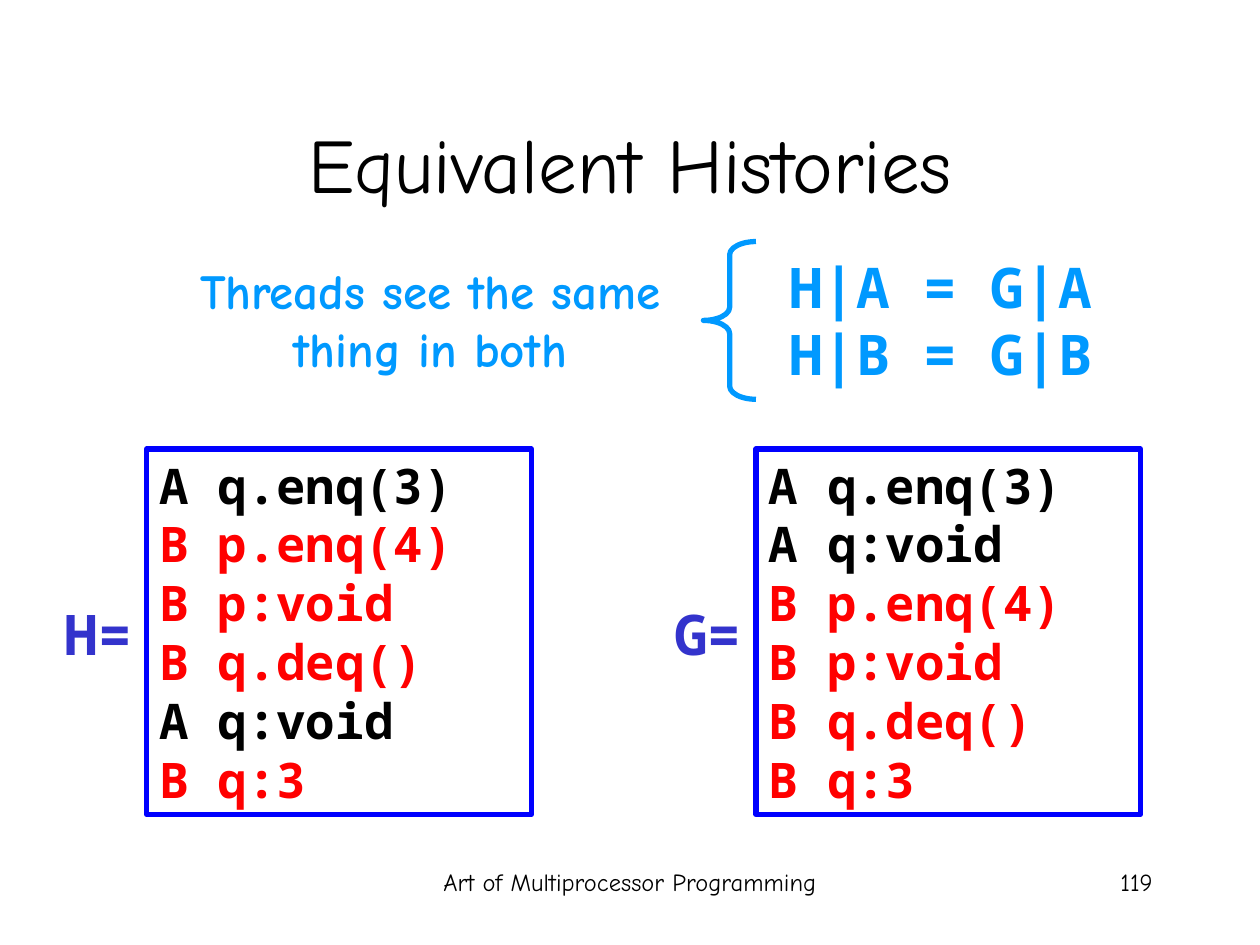
import pptx
import pptx.dml.color
import pptx.enum.shapes
import pptx.enum.text
import pptx.util

Cm = pptx.util.Cm
ALIGN = pptx.enum.text.PP_ALIGN
ANCHOR = pptx.enum.text.MSO_ANCHOR
SHAPES = pptx.enum.shapes.MSO_SHAPE


def colour(hex_code):
    return pptx.dml.color.RGBColor.from_string(hex_code)


class HistorySlide:
    """The style of the talk and the slide being filled."""

    PROSE, CODE = "Comic Neue", "Noto Sans Mono"
    BLACK, RED, SKY, INDIGO, BLUE = "000000", "FF0000", "0099FF", "3333CC", "0000FF"
    THREAD_COLOURS = {"A": BLACK, "B": RED}
    LINE_WIDTH = pptx.util.Pt(3)

    def __init__(self, deck):
        self.slide = deck.slides.add_slide(deck.slide_layouts[5])

    def fill_text(self, frame, lines, size, font, bold=False, align=ALIGN.LEFT,
                  anchor=ANCHOR.TOP, grow=False):
        """Fill a text frame with (text, hex colour) lines."""
        auto_size = pptx.enum.text.MSO_AUTO_SIZE
        frame_format = {
            "word_wrap": True,
            "vertical_anchor": anchor,
            "auto_size": auto_size.SHAPE_TO_FIT_TEXT if grow else auto_size.NONE,
        }
        for name, value in frame_format.items():
            setattr(frame, name, value)
        font_format = {"size": pptx.util.Pt(size), "name": font, "bold": bold}
        for index, (text, hex_code) in enumerate(lines):
            paragraph = frame.add_paragraph() if index else frame.paragraphs[0]
            paragraph.alignment = align
            run = paragraph.add_run()
            run.text = text
            for name, value in font_format.items():
                setattr(run.font, name, value)
            run.font.color.rgb = colour(hex_code)

    def title(self, text, left, top, width, height):
        heading = self.slide.shapes.title
        place = {"left": left, "top": top, "width": width, "height": height}
        for name, value in place.items():
            setattr(heading, name, Cm(value))
        self.fill_text(heading.text_frame, [(text, self.BLACK)], 44, self.PROSE,
                       align=ALIGN.CENTER, anchor=ANCHOR.MIDDLE)

    def text(self, lines, place, size, font, **style):
        box = self.slide.shapes.add_textbox(*map(Cm, place))
        self.fill_text(box.text_frame, lines, size, font, **style)

    def outline(self, kind, place, hex_code):
        shape = self.slide.shapes.add_shape(kind, *map(Cm, place))
        shape.shadow.inherit = False
        shape.fill.background()
        shape.line.color.rgb = colour(hex_code)
        shape.line.width = self.LINE_WIDTH
        return shape

    def history(self, name, events, left):
        """Draw a named list of events, each coloured by its thread."""
        self.text([(f"{name}=", self.INDIGO)], (left, 11.96, 3.18, 1.62), 32,
                  self.CODE, bold=True, grow=True)
        frame = self.outline(SHAPES.RECTANGLE, (left + 1.9, 9.05, 7.75, 7.37), self.BLUE)
        lines = [(event, self.THREAD_COLOURS[event[0]]) for event in events]
        self.fill_text(frame.text_frame, lines, 28, self.CODE, bold=True, grow=True)

    def brace(self, place):
        brace = self.outline(SHAPES.LEFT_BRACE, place, self.SKY)
        brace.adjustments[0] = 0.25
        brace.adjustments[1] = 0.5

    def footer(self, text, place, align):
        self.text([(text, self.BLACK)], place, 14, self.PROSE, align=align)


def main():
    deck = pptx.Presentation()
    deck.slide_width, deck.slide_height = Cm(25.4), Cm(19.05)
    page = HistorySlide(deck)

    page.title("Equivalent Histories", 1.91, 1.69, 21.59, 3.18)
    page.text([("Threads see the same thing in both", page.SKY)],
              (2.96, 5.12, 11.43, 2.65), 28, page.PROSE,
              bold=True, align=ALIGN.CENTER, grow=True)
    page.brace((14.18, 4.87, 1.06, 3.18))
    projections = [(f"H|{thread} = G|{thread}", page.SKY) for thread in "AB"]
    page.text(projections, (15.66, 4.97, 6.99, 2.97), 32, page.CODE,
              bold=True, grow=True)

    histories = {
        "H": ["A q.enq(3)", "B p.enq(4)", "B p:void", "B q.deq()", "A q:void", "B q:3"],
        "G": ["A q.enq(3)", "A q:void", "B p.enq(4)", "B p:void", "B q.deq()", "B q:3"],
    }
    for column, (name, events) in enumerate(histories.items()):
        page.history(name, events, 1.06 + column * 12.28)

    page.footer("Art of Multiprocessor Programming", (8.68, 17.36, 8.04, 1.27),
                ALIGN.CENTER)
    page.footer("119", (18.2, 17.36, 5.29, 1.27), ALIGN.RIGHT)
    deck.save("out.pptx")


if __name__ == "__main__":
    main()
